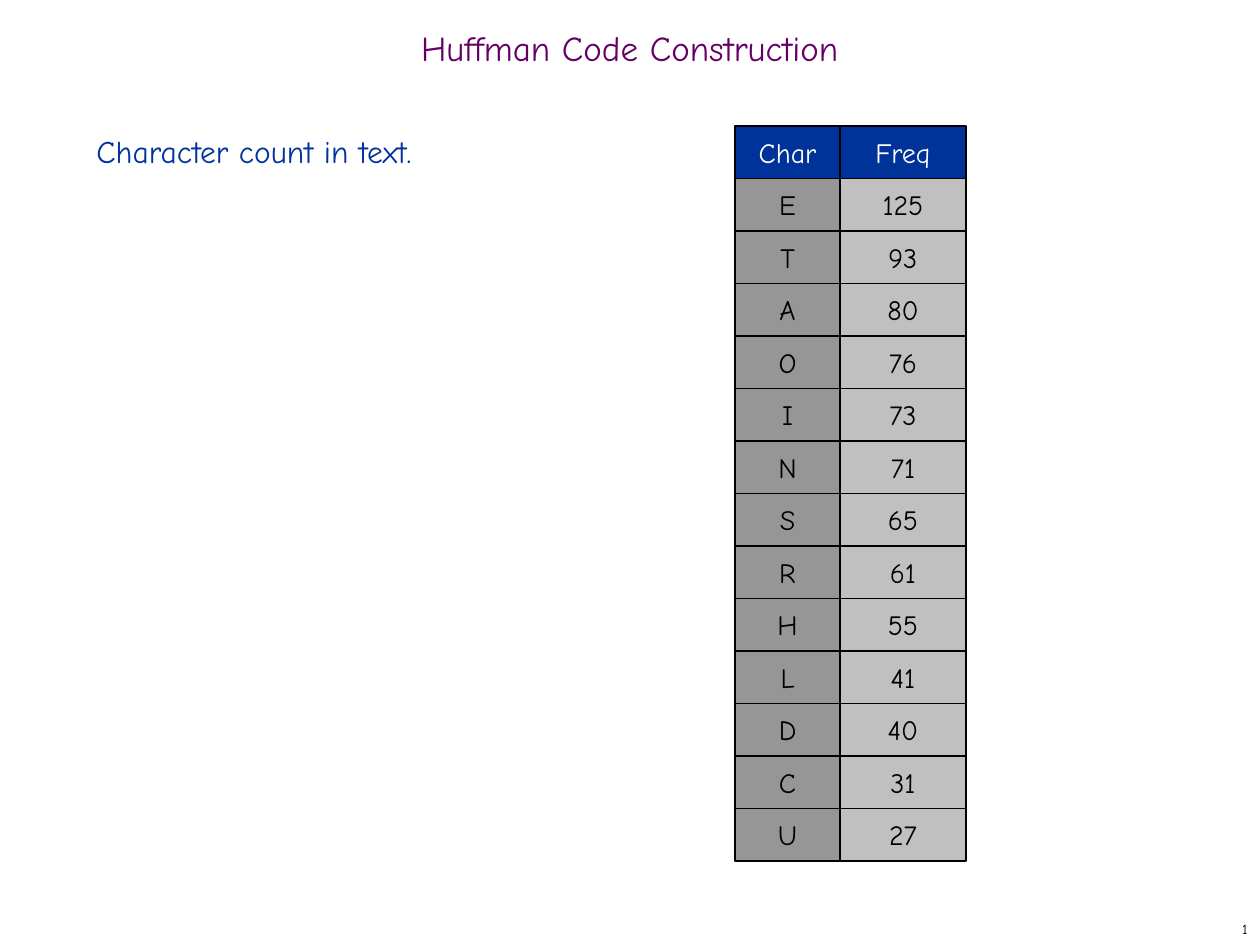
from pptx import Presentation
from pptx.dml.color import RGBColor as RGB
from pptx.enum.shapes import MSO_SHAPE as Shape
from pptx.enum.text import MSO_ANCHOR as Anchor, PP_ALIGN as Align
from pptx.util import Pt

PX = 7620  # 120 px to the inch
FONT = "Comic Neue"
BLACK = RGB(0x00, 0x00, 0x00)
WHITE = RGB(0xFF, 0xFF, 0xFF)
PURPLE = RGB(0x66, 0x00, 0x66)
BLUE = RGB(0x00, 0x33, 0x99)
DARK = RGB(0x96, 0x96, 0x96)
LIGHT = RGB(0xC0, 0xC0, 0xC0)


def write(shape, text, size, color, align, anchor=Anchor.MIDDLE, wrap=True):
    frame = shape.text_frame
    frame.word_wrap = wrap
    frame.vertical_anchor = anchor
    frame.text = text
    para = frame.paragraphs[0]
    para.alignment = align
    para.font.name = FONT
    para.font.size = Pt(size)
    para.font.color.rgb = color
    return para


def add_box(left, top, width, height):
    return slide.shapes.add_textbox(left * PX, top * PX,
                                    width * PX, height * PX)


deck = Presentation()
deck.slide_width, deck.slide_height = 1200 * PX, 900 * PX
slide = deck.slides.add_slide(deck.slide_layouts[6])

# Page number, title and body
write(add_box(950, 870, 250, 30), "1", 8, BLACK, Align.RIGHT)
title = write(add_box(0, 20, 1200, 60), "Huffman Code Construction", 20,
              PURPLE, Align.CENTER)
title.line_spacing = 0.7
body = write(add_box(80, 120, 1030, 710), "Character count in text.", 18,
             BLUE, Align.LEFT, Anchor.TOP)
body.space_before = Pt(2.2)

# Frequency grid: left, width, fill and entries of each column
counts = {"E": 125, "T": 93, "A": 80, "O": 76, "I": 73, "N": 71, "S": 65,
          "R": 61, "H": 55, "L": 41, "D": 40, "C": 31, "U": 27}
high = 50
cols = [(800, 120, LIGHT, ["Freq", *counts.values()]),
        (700, 100, DARK, ["Char", *counts])]

for left, wide, fill, items in cols:
    for row, item in enumerate(items):
        cell = slide.shapes.add_shape(
            Shape.RECTANGLE, left * PX, (120 + row * high) * PX,
            wide * PX, high * PX)
        cell.shadow.inherit = False
        cell.fill.solid()
        cell.fill.fore_color.rgb = fill if row else BLUE
        cell.line.color.rgb = BLACK
        cell.line.width = Pt(0.75)
        write(cell, str(item), 16, BLACK if row else WHITE, Align.CENTER,
              wrap=False)

deck.save("out.pptx")
